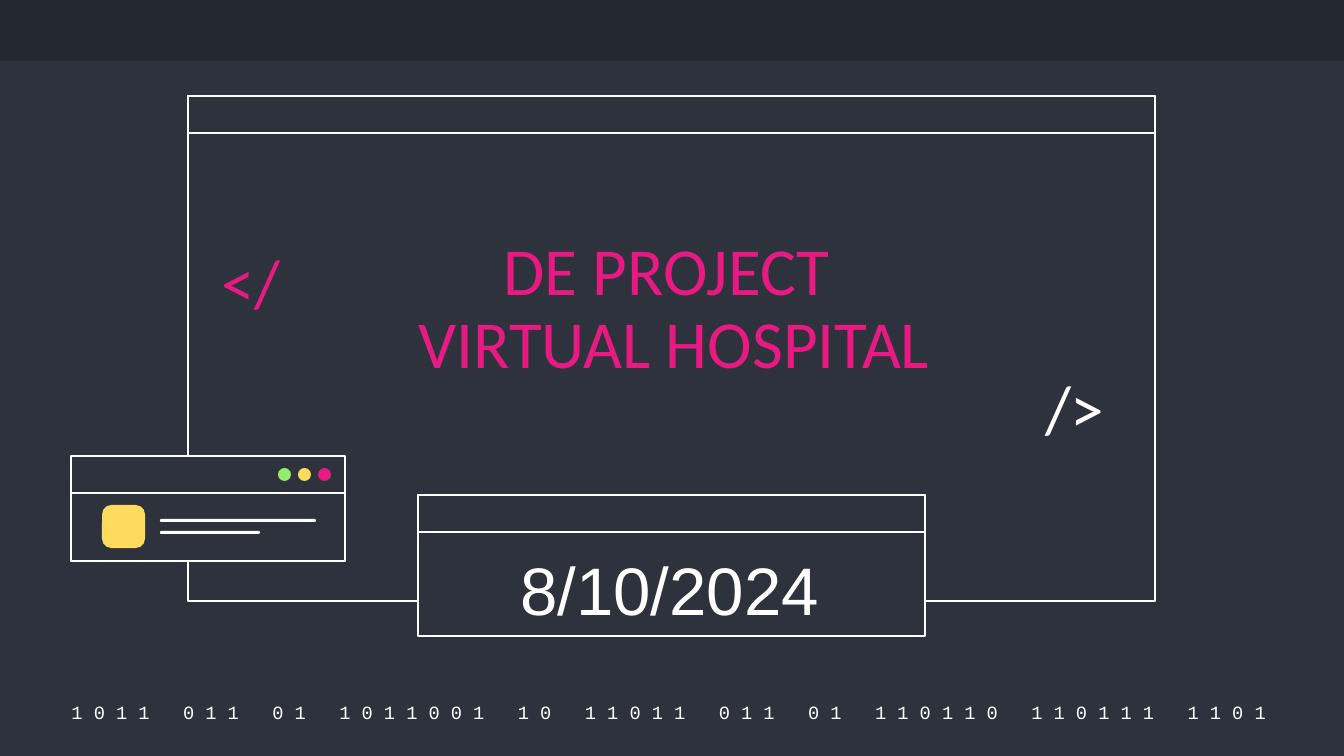
from pptx import Presentation
from pptx.dml.color import RGBColor
from pptx.enum.shapes import MSO_SHAPE
from pptx.enum.text import MSO_ANCHOR, MSO_AUTO_SIZE, PP_ALIGN
from pptx.util import Emu, Pt

COLORS = {
    "background": "2D323C", "band": "242830", "white": "FFFFFF",
    "pink": "E81981", "yellow": "FFDB5D", "green": "94EE6B",
}
SCALE = 914400 / 134.4  # EMU per px
BAR_HEIGHT = 37

# Windows: left, top, width, height, and where the body starts below the top
WINDOWS = [
    (188, 96, 967, 505, 0),
    (418, 495, 507, 141, 0),
    (71, 456, 274, 105, BAR_HEIGHT),
]

# Parts of the small window
ICON = (102, 505, 43, 43)
TEXT_LINES = [(160, 519, 156, 3), (160, 531, 100, 3)]
BUTTON_COLORS = ["green", "yellow", "pink"]
BUTTON_LEFT, BUTTON_TOP, BUTTON_SIZE, BUTTON_STEP = 278, 468, 13, 20

# Texts: content, box, font, size, colour, alignment, anchor
BITS = "1011 011 01 1011001 10 11011 011 01 110110 110111 1101"
BIT_ROW = "   ".join(" ".join(word) for word in BITS.split()) + " "
LEFT, CENTER = PP_ALIGN.LEFT, PP_ALIGN.CENTER
MIDDLE, BOTTOM = MSO_ANCHOR.MIDDLE, MSO_ANCHOR.BOTTOM
TEXTS = [
    (BIT_ROW, (51, 699, 1246, 27), "Courier New", 10, "white", CENTER, MIDDLE),
    ("</", (208, 241, 103, 89), "Calibri", 36, "pink", LEFT, MIDDLE),
    ("/>", (1032, 367, 103, 89), "Calibri", 36, "white", LEFT, MIDDLE),
    ("DE PROJECT \vVIRTUAL HOSPITAL", (305, 223, 738, 173), "Calibri", 36, "pink", CENTER, BOTTOM),
]
DATE = ("8/10/2024", (507, 542, 335, 95), "Arial", 36, "white", LEFT, MSO_ANCHOR.TOP)


def px(value):
    return Emu(round(value * SCALE))


def color(name):
    return RGBColor.from_string(COLORS[name])


def add_block(slide, kind, box, fill, outlined=False):
    shape = slide.shapes.add_shape(kind, *map(px, box))
    shape.shadow.inherit = False
    shape.fill.solid()
    shape.fill.fore_color.rgb = color(fill)
    if outlined:
        shape.line.color.rgb = color("white")
        shape.line.width = Pt(0.75)
    else:
        shape.line.fill.background()
    return shape


def add_text(slide, content, box, font, size, tint, alignment, anchor):
    frame = slide.shapes.add_textbox(*map(px, box)).text_frame
    frame.word_wrap = True
    frame.vertical_anchor = anchor
    frame.text = content
    paragraph = frame.paragraphs[0]
    paragraph.alignment = alignment
    paragraph.font.name = font
    paragraph.font.size = Pt(size)
    paragraph.font.color.rgb = color(tint)
    if font == "Calibri":
        paragraph.line_spacing = 0.9
    return frame


presentation = Presentation()
presentation.slide_width, presentation.slide_height = px(1344), px(756)
slide = presentation.slides.add_slide(presentation.slide_layouts[6])
slide.background.fill.solid()
slide.background.fill.fore_color.rgb = color("background")

# Top band
add_block(slide, MSO_SHAPE.RECTANGLE, (0, 0, 1344, 61), "band")

# Windows, each a body with a title bar
for left, top, width, height, offset in WINDOWS:
    body = (left, top + offset, width, height - offset)
    bar = (left, top, width, BAR_HEIGHT)
    for box in (body, bar):
        add_block(slide, MSO_SHAPE.RECTANGLE, box, "background", outlined=True)

# Small window: icon, text lines and buttons
icon = add_block(slide, MSO_SHAPE.ROUNDED_RECTANGLE, ICON, "yellow")
icon.adjustments[0] = 0.22
for box in TEXT_LINES:
    line = add_block(slide, MSO_SHAPE.ROUNDED_RECTANGLE, box, "white")
    line.adjustments[0] = 0.5
for index, name in enumerate(BUTTON_COLORS):
    box = (BUTTON_LEFT + index * BUTTON_STEP, BUTTON_TOP, BUTTON_SIZE, BUTTON_SIZE)
    add_block(slide, MSO_SHAPE.OVAL, box, name)

# Title, code tags and row of bits
for text in TEXTS:
    frame = add_text(slide, *text)
    frame.margin_left = frame.margin_right = px(13)
    frame.margin_top = frame.margin_bottom = px(13)

# Date
add_text(slide, *DATE).auto_size = MSO_AUTO_SIZE.SHAPE_TO_FIT_TEXT

presentation.save("out.pptx")
